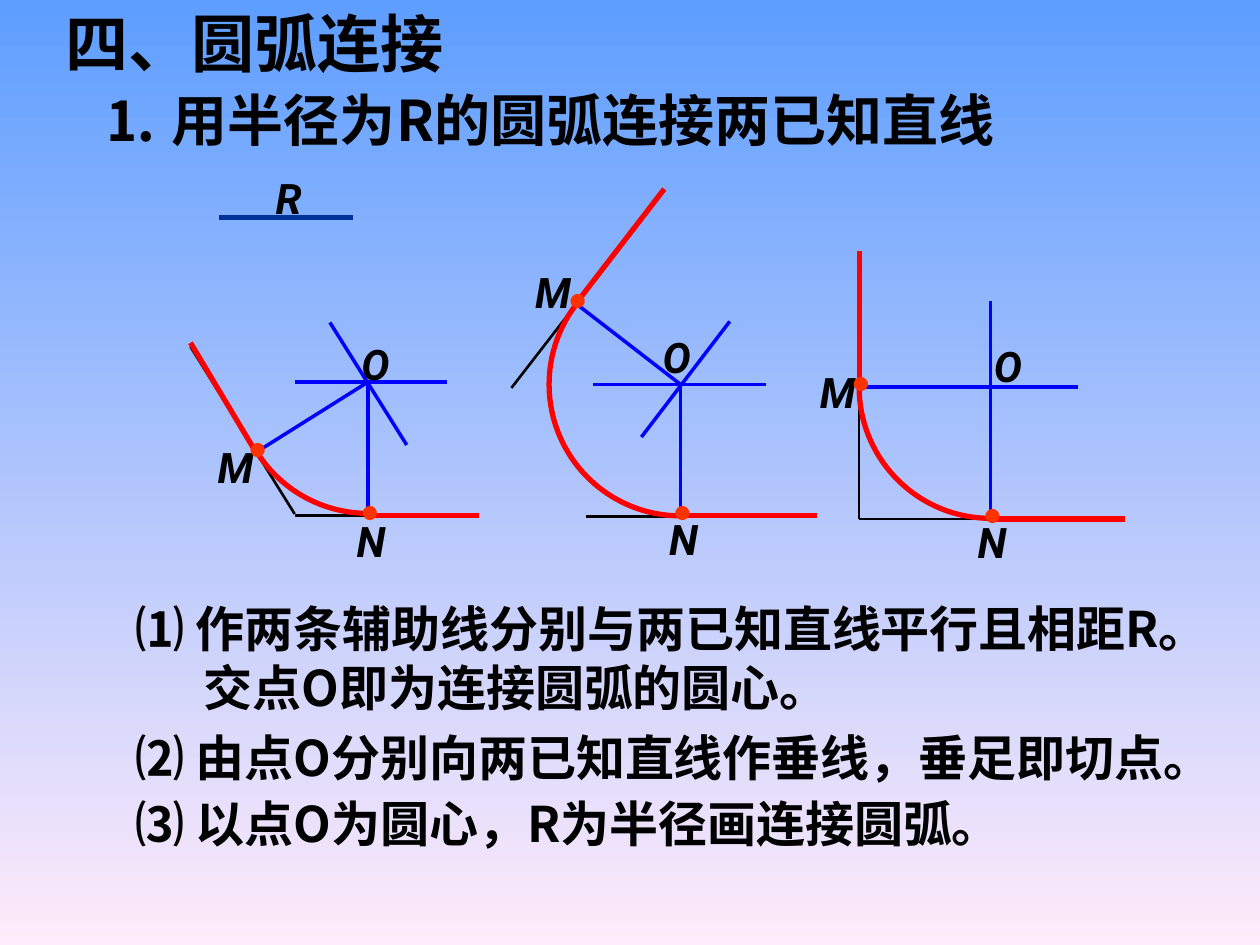
import math
from dataclasses import dataclass

import pptx
import pptx.dml.color
import pptx.enum.shapes
import pptx.enum.text
import pptx.oxml
import pptx.oxml.ns
import pptx.util
from pptx.util import Cm, Pt

RGBColor = pptx.dml.color.RGBColor
SKY = RGBColor(0x5E, 0x9E, 0xFF)
BLUSH = RGBColor(0xFF, 0xEB, 0xFA)
BLACK = RGBColor(0, 0, 0)
RED = RGBColor(0xFF, 0, 0)
ORANGE = RGBColor(0xFF, 0x33, 0)
BLUE = RGBColor(0, 0, 0xFF)
NAVY = RGBColor(0, 0x33, 0x99)

HAN_FONT = "Noto Sans CJK SC"
LETTER_FONT = "Roboto"
RADIUS = 2.65  # cm

Point = tuple[float, float]
Segment = tuple[Point, Point]


@dataclass
class Construction:
    """Two given lines joined by an arc about O, touching them at M and N (cm)."""
    centre: Point
    tangent_m: Point
    tangent_n: Point
    red_ends: tuple[Point, Point]  # far ends beyond M and N
    given_lines: tuple[Segment, Segment]
    guides: tuple[Segment, ...]
    letters: dict[str, Point]  # centres of the letters


@dataclass
class Passage:
    text: str
    left: float
    top: float
    width: float
    height: float
    size: int
    wrap: bool = True


CONSTRUCTIONS = [
    # Obtuse angle
    Construction(
        (7.42, 7.70), (5.16, 9.12), (7.42, 10.39), ((3.84, 6.91), (9.65, 10.39)),
        (((3.84, 6.99), (5.94, 10.36)), ((5.94, 10.39), (9.65, 10.39))),
        (((5.94, 7.70), (9.02, 7.70)), ((6.65, 6.50), (8.20, 8.97)),
         ((7.42, 7.70), (7.42, 10.39)), ((7.42, 7.70), (5.16, 9.12))),
        {"O": (7.57, 7.34), "M": (4.74, 9.42), "N": (7.48, 10.90)}),
    # Acute angle
    Construction(
        (13.72, 7.75), (11.61, 6.12), (13.72, 10.39), ((13.39, 3.81), (16.46, 10.39)),
        (((13.39, 3.84), (10.31, 7.82)), ((11.81, 10.41), (16.46, 10.41))),
        (((11.96, 7.75), (15.44, 7.75)), ((14.71, 6.48), (12.93, 8.81)),
         ((13.72, 7.75), (13.72, 10.39)), ((13.72, 7.75), (11.61, 6.12))),
        {"O": (13.64, 7.19), "M": (11.14, 5.89), "N": (13.78, 10.87)}),
    # Right angle
    Construction(
        (19.97, 7.80), (17.32, 7.80), (19.97, 10.46), ((17.32, 5.05), (22.68, 10.46)),
        (((17.32, 5.05), (17.32, 10.46)), ((17.32, 10.46), (22.68, 10.46))),
        (((17.32, 7.80), (21.74, 7.80)), ((19.97, 6.07), (19.97, 10.46))),
        {"O": (20.32, 7.37), "M": (16.88, 7.90), "N": (20.00, 10.92)}),
]

PASSAGES = [
    Passage("四、圆弧连接", 1.07, -0.03, 8.13, 1.78, 36, wrap=False),
    Passage("⒈ 用半径为R的圆弧连接两已知直线", 1.83, 1.60, 19.02, 1.63, 32, wrap=False),
    Passage("⑴ 作两条辅助线分别与两已知直线平行且相距R。", 2.49, 11.94, 22.86, 1.45, 28),
    Passage("交点O即为连接圆弧的圆心。", 3.86, 13.13, 14.2, 1.45, 28),
    Passage("⑵ 由点O分别向两已知直线作垂线，垂足即切点。", 2.49, 14.55, 22.86, 1.45, 28),
    Passage("⑶ 以点O为圆心，R为半径画连接圆弧。", 2.49, 15.88, 22.9, 1.45, 28),
]


def add_text(slide, text: str, *, left: float, top: float, width: float, height: float,
             size: int, font: str = HAN_FONT, color: RGBColor = BLACK,
             italic: bool = False, centred: bool = False, wrap: bool = False) -> None:
    frame = slide.shapes.add_textbox(Cm(left), Cm(top), Cm(width), Cm(height)).text_frame
    frame.word_wrap = wrap
    frame.auto_size = pptx.enum.text.MSO_AUTO_SIZE.SHAPE_TO_FIT_TEXT
    paragraph = frame.paragraphs[0]
    if centred:
        paragraph.alignment = pptx.enum.text.PP_ALIGN.CENTER
    run = paragraph.add_run()
    run.text = text
    run.font.size = Pt(size)
    run.font.bold = True
    run.font.italic = italic
    run.font.name = font
    run.font.color.rgb = color
    east_asian = pptx.oxml.parse_xml(
        f'<a:ea {pptx.oxml.ns.nsdecls("a")} typeface="{font}"/>')
    run.font.fill  # keeps the colour element ahead of the typefaces
    run._r.get_or_add_rPr().append(east_asian)


def add_letter(slide, letter: str, centre: Point) -> None:
    add_text(slide, letter, left=centre[0] - 0.6, top=centre[1] - 0.64, width=1.2,
             height=1.27, size=24, font=LETTER_FONT, italic=True, centred=True)


def add_dot(slide, centre: Point) -> None:
    add_text(slide, "●", left=centre[0] - 0.37, top=centre[1] - 0.36, width=0.8,
             height=0.64, size=9, color=ORANGE, centred=True)


def add_line(slide, start: Point, end: Point, color: RGBColor, weight: float) -> None:
    line = slide.shapes.add_connector(
        pptx.enum.shapes.MSO_CONNECTOR.STRAIGHT,
        Cm(start[0]), Cm(start[1]), Cm(end[0]), Cm(end[1]))
    line.line.color.rgb = color
    line.line.width = Pt(weight)
    line._element.spPr.append(
        pptx.oxml.parse_xml(f'<a:effectLst {pptx.oxml.ns.nsdecls("a")}/>'))


def add_arc(slide, centre: Point, end: Point) -> None:
    """Arc clockwise from the lowest point of the circle towards the end point."""
    arc = slide.shapes.add_shape(
        pptx.enum.shapes.MSO_SHAPE.ARC, Cm(centre[0] - RADIUS), Cm(centre[1] - RADIUS),
        Cm(2 * RADIUS), Cm(2 * RADIUS))
    end_angle = math.degrees(math.atan2(end[1] - centre[1], end[0] - centre[0])) % 360
    for index, angle in enumerate((90, end_angle)):
        arc.adjustments[index] = angle * 0.6  # 60000 units a degree, scaled by 100000
    arc.fill.background()
    arc.line.color.rgb = RED
    arc.line.width = Pt(3)
    arc.shadow.inherit = False


def add_construction(slide, figure: Construction) -> None:
    tangents = (figure.tangent_m, figure.tangent_n)
    for start, end in figure.given_lines:
        add_line(slide, start, end, BLACK, 1.5)
    add_arc(slide, figure.centre, figure.tangent_m)
    for start, end in figure.guides:
        add_line(slide, start, end, BLUE, 0)
    for tangent, far_end in zip(tangents, figure.red_ends):
        add_line(slide, tangent, far_end, RED, 3)
    for letter, centre in figure.letters.items():
        add_letter(slide, letter, centre)
    for tangent in tangents:
        add_dot(slide, tangent)


def main() -> None:
    deck = pptx.Presentation()
    deck.slide_width, deck.slide_height = Cm(25.4), Cm(19.05)
    slide = deck.slides.add_slide(deck.slide_layouts[6])

    # Background, blue at the top to pink at the bottom
    backdrop = slide.background.fill
    backdrop.gradient()
    backdrop.gradient_angle = 270
    for stop, color, position in zip(backdrop.gradient_stops, (SKY, BLUSH), (0, 1)):
        stop.color.rgb = color
        stop.position = position

    # Given radius
    add_line(slide, (4.42, 4.39), (7.11, 4.39), NAVY, 3)
    add_letter(slide, "R", (5.82, 3.99))

    # Three constructions
    for figure in CONSTRUCTIONS:
        add_construction(slide, figure)

    # Headings and steps
    for passage in PASSAGES:
        add_text(slide, passage.text, left=passage.left, top=passage.top,
                 width=passage.width, height=passage.height, size=passage.size,
                 wrap=passage.wrap)

    deck.save("out.pptx")


if __name__ == "__main__":
    main()
